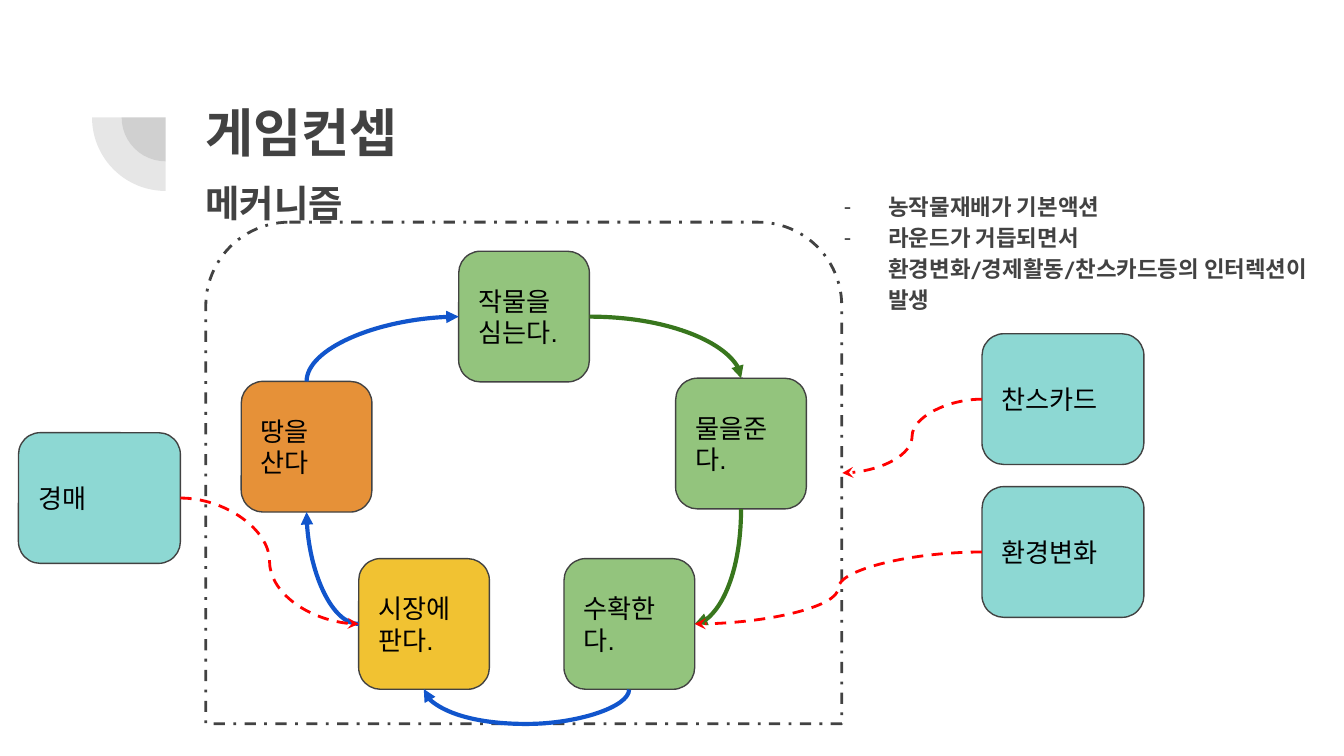
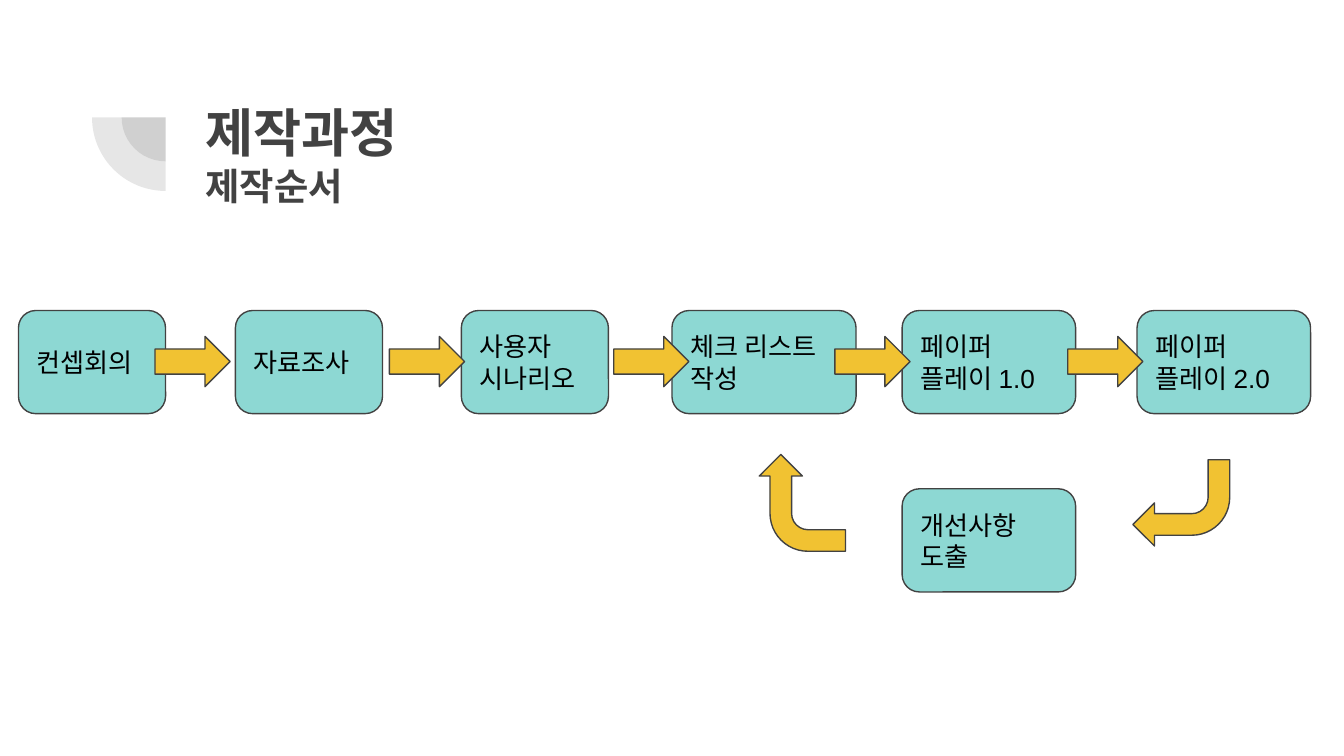
from dataclasses import dataclass

from lxml import etree
from pptx import Presentation
from pptx.dml.color import RGBColor
from pptx.enum import dml, shapes, text
from pptx.oxml import ns
from pptx.util import Cm, Pt


@dataclass(frozen=True)
class Theme:
    ink: str = "424242"
    black: str = "000000"
    teal: str = "8DD8D3"
    green: str = "93C47D"
    orange: str = "E69138"
    yellow: str = "F1C232"
    blue_arrow: str = "1155CC"
    green_arrow: str = "38761D"
    red_arrow: str = "FF0000"
    title_font: str = "Calibri"
    list_font: str = "League Spartan"
    block_font: str = "Arial"
    title_size: int = 28
    subtitle_size: int = 20
    subtitle_gap_size: int = 29
    block_size: int = 14
    list_size: int = 12
    inset: float = 0.25


THEME = Theme()
PRESET = shapes.MSO_SHAPE
TOP, LEFT, BOTTOM, RIGHT = range(4)


def add_block(slide, preset, box, fill=None, lines=()):
    """Add an outlined preset shape; box is left, top, width, height in cm."""
    shape = slide.shapes.add_shape(preset, *map(Cm, box))
    shape.shadow.inherit = False
    shape.line.color.rgb = RGBColor.from_string(THEME.ink)
    shape.line.width = Pt(0.75)
    if fill:
        shape.fill.solid()
        shape.fill.fore_color.rgb = RGBColor.from_string(fill)
    else:
        shape.fill.background()
    frame = shape.text_frame
    frame.margin_left = frame.margin_right = Cm(THEME.inset)
    frame.margin_top = frame.margin_bottom = Cm(THEME.inset)
    frame.vertical_anchor = text.MSO_ANCHOR.MIDDLE
    for index, line in enumerate(lines):
        paragraph = frame.add_paragraph() if index else frame.paragraphs[0]
        paragraph.text = line
        paragraph.alignment = text.PP_ALIGN.LEFT
        paragraph.font.name = THEME.block_font
        paragraph.font.size = Pt(THEME.block_size)
        paragraph.font.color.rgb = RGBColor.from_string(THEME.black)
    return shape


def add_curve(slide, points, color, arrow_end, dashed=False):
    """Add a curved connector; arrow_end is headEnd (start) or tailEnd (finish)."""
    connector = slide.shapes.add_connector(shapes.MSO_CONNECTOR.CURVE, *map(Cm, points))
    connector.line.color.rgb = RGBColor.from_string(color)
    connector.line.width = Pt(1.5 if dashed else 2.25)
    if dashed:
        connector.line.dash_style = dml.MSO_LINE.DASH
    arrow = etree.SubElement(connector.get_or_add_ln(), ns.qn(f"a:{arrow_end}"))
    arrow.set("type", "stealth" if dashed else "triangle")
    etree.SubElement(connector.element.spPr, ns.qn("a:effectLst"))
    return connector


presentation = Presentation()
presentation.slide_width, presentation.slide_height = Cm(25.4), Cm(14.29)

concept = presentation.slides.add_slide(presentation.slide_layouts[1])
process = presentation.slides.add_slide(presentation.slide_layouts[5])

# Quarter-circle ornament, moved to the master so that both slides share it
for index, radius in enumerate((0.83, 1.39)):
    quarter = concept.shapes.add_shape(
        PRESET.PIE, Cm(3.13 - radius), Cm(2.22 - radius), Cm(2 * radius), Cm(2 * radius))
    quarter.adjustments[0], quarter.adjustments[1] = 54, 108
    quarter.shadow.inherit = False
    quarter.line.fill.background()
    quarter.fill.solid()
    quarter.fill.fore_color.rgb = RGBColor.from_string(THEME.ink)
    color = quarter.element.spPr.find(".//" + ns.qn("a:srgbClr"))
    etree.SubElement(color, ns.qn("a:alpha")).set("val", "13000")
    quarter.element.nvSpPr.cNvPr.set("id", str(20 + index))
    presentation.slide_master.shapes.element.append(quarter.element)

for slide, heading, subtitle in ((concept, "게임컨셉", "메커니즘"),
                                 (process, "제작과정", "제작순서")):
    title = slide.shapes.title
    title.left, title.top, title.width, title.height = map(Cm, (3.63, 1.65, 19.53, 2.77))
    frame = title.text_frame
    frame.text = f"{heading}\n{subtitle}"
    frame.auto_size = text.MSO_AUTO_SIZE.NONE
    frame.vertical_anchor = text.MSO_ANCHOR.TOP
    frame.margin_left = frame.margin_right = Cm(THEME.inset)
    frame.margin_top = frame.margin_bottom = Cm(THEME.inset)
    for paragraph, size in zip(frame.paragraphs, (THEME.title_size, THEME.subtitle_size)):
        paragraph.alignment = text.PP_ALIGN.LEFT
        paragraph.font.name = THEME.title_font
        paragraph.font.size = Pt(size)
        paragraph.font.bold = True
        paragraph.font.color.rgb = RGBColor.from_string(THEME.ink)

# Slide 1: the game loop and what acts on it
gap = concept.shapes.title.text_frame.paragraphs[1].add_run()
gap.text = " "
gap.font.size = Pt(THEME.subtitle_gap_size)

body = concept.placeholders[1]
body.left, body.top, body.width, body.height = map(Cm, (15.27, 3.33, 10.36, 2.77))
frame = body.text_frame
frame.text = ("농작물재배가 기본액션\n"
              "라운드가 거듭되면서 환경변화/경제활동/찬스카드등의 인터렉션이 발생")
frame.auto_size = text.MSO_AUTO_SIZE.NONE
frame.margin_left = frame.margin_right = Cm(THEME.inset)
frame.margin_top = frame.margin_bottom = Cm(THEME.inset)
for paragraph in frame.paragraphs:
    paragraph.line_spacing = 1.15
    paragraph.space_before = Pt(0)
    properties = paragraph._p.get_or_add_pPr()
    properties.set("marL", str(Cm(1.27)))
    properties.set("indent", str(Cm(-0.84)))
    bullet_color = etree.SubElement(properties, ns.qn("a:buClr"))
    etree.SubElement(bullet_color, ns.qn("a:srgbClr")).set("val", THEME.ink)
    etree.SubElement(properties, ns.qn("a:buChar")).set("char", "-")
    paragraph.font.name = THEME.list_font
    paragraph.font.size = Pt(THEME.list_size)
    paragraph.font.bold = True
    paragraph.font.color.rgb = RGBColor.from_string(THEME.ink)

loop_frame = add_block(concept, PRESET.ROUND_2_SAME_RECTANGLE, (3.89, 4.2, 12.02, 9.48))
loop_frame.line.width = Pt(1.5)
loop_frame.line.dash_style = dml.MSO_LINE.DASH_DOT

STEP, EVENT = 2.47, 3.06
land, plant, water, harvest, market, auction, climate, chance = [
    add_block(concept, PRESET.ROUNDED_RECTANGLE, (left, top, width, STEP), fill, [label])
    for label, left, top, width, fill in (
        ("땅을 산다", 4.56, 7.21, STEP, THEME.orange),
        ("작물을 심는다.", 8.67, 4.75, STEP, THEME.green),
        ("물을준다.", 12.77, 7.15, STEP, THEME.green),
        ("수확한다.", 10.66, 10.56, STEP, THEME.green),
        ("시장에 판다.", 6.78, 10.56, STEP, THEME.yellow),
        ("경매", 0.35, 8.18, EVENT, THEME.teal),
        ("환경변화", 18.56, 9.2, EVENT, THEME.teal),
        ("찬스카드", 18.56, 6.31, EVENT, THEME.teal),
    )]

# Quarter turns leave the first block sideways and meet the second vertically
for first, first_side, second, second_side, color, arrow_end in (
        (plant, LEFT, land, TOP, THEME.blue_arrow, "headEnd"),
        (market, LEFT, land, BOTTOM, THEME.blue_arrow, "tailEnd"),
        (harvest, RIGHT, water, BOTTOM, THEME.green_arrow, "headEnd"),
        (plant, RIGHT, water, TOP, THEME.green_arrow, "tailEnd")):
    turn = add_curve(concept, (0, 0, 0, 0), color, arrow_end)
    turn.element.spPr.find(ns.qn("a:prstGeom")).set("prst", "curvedConnector2")
    turn.begin_connect(first, first_side)
    turn.end_connect(second, second_side)

# The U-turn is a very thin connector turned by 270 degrees, with a far-out bend
THIN, BEND = 0.01, 0.66
u_turn = add_curve(concept, (9.95 + THIN / 2, 11.09, 9.95 - THIN / 2, 14.97),
                   THEME.blue_arrow, "headEnd")
u_turn.element.spPr.find(ns.qn("a:xfrm")).set("rot", "16200000")
guides = u_turn.element.spPr.find(ns.qn("a:prstGeom")).get_or_add_avLst()
bend = etree.SubElement(guides, ns.qn("a:gd"))
bend.set("name", "adj1")
bend.set("fmla", f"val {round(BEND / THIN * 100000)}")

for event, event_side, step, step_side in ((climate, LEFT, harvest, RIGHT),
                                           (auction, RIGHT, market, LEFT)):
    influence = add_curve(concept, (0, 0, 0, 0), THEME.red_arrow, "tailEnd", dashed=True)
    influence.begin_connect(event, event_side)
    influence.end_connect(step, step_side)
influence = add_curve(concept, (18.56, 7.55, 15.92, 8.94), THEME.red_arrow, "tailEnd", dashed=True)
influence.begin_connect(chance, LEFT)

# Slide 2: production steps with a feedback loop
for left, top, width, lines in (
        (0.35, 5.87, 2.78, ["컨셉회의"]),
        (4.45, 5.87, 2.78, ["자료조사"]),
        (8.72, 5.87, 2.78, ["사용자", "시나리오"]),
        (12.7, 5.87, 3.48, ["체크 리스트", "작성"]),
        (17.05, 5.87, 3.28, ["페이퍼", "플레이 1.0"]),
        (21.49, 5.87, 3.28, ["페이퍼", "플레이 2.0"]),
        (17.05, 9.24, 3.28, ["개선사항", "도출"])):
    add_block(process, PRESET.ROUNDED_RECTANGLE, (left, top, width, 1.95), THEME.teal, lines)

for left in (2.93, 7.36, 11.6, 15.78, 20.18):
    add_block(process, PRESET.RIGHT_ARROW, (left, 6.36, 1.42, 0.95), THEME.yellow)

for left, rotation in ((21.41, 180), (14.25, 270)):
    arrow = add_block(process, PRESET.BENT_ARROW, (left, 8.69, 1.83, 1.63), THEME.yellow)
    arrow.adjustments[3] = 0.44
    arrow.rotation = rotation

presentation.save("out.pptx")
